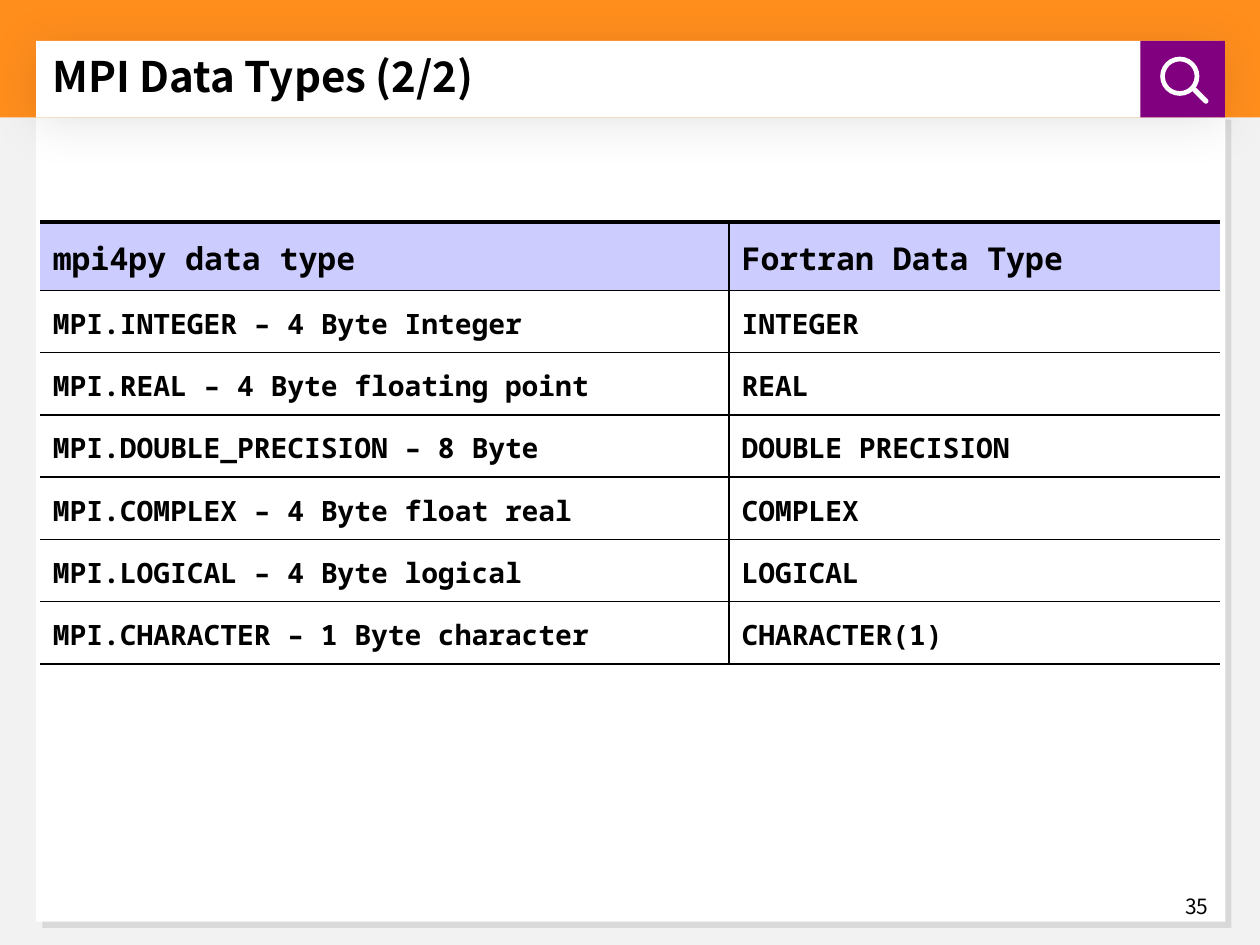
"""Build the MPI data types slide with its Fortran type table."""
import pptx
import pptx.dml.color
import pptx.enum.shapes
import pptx.enum.text
import pptx.oxml
import pptx.oxml.ns
import pptx.util
from lxml import etree

Pt = pptx.util.Pt
RGBColor = pptx.dml.color.RGBColor
SHAPE = pptx.enum.shapes.MSO_SHAPE
ALIGN = pptx.enum.text.PP_ALIGN
MIDDLE = pptx.enum.text.MSO_ANCHOR.MIDDLE
qn = pptx.oxml.ns.qn

BLACK = RGBColor(0x00, 0x00, 0x00)
WHITE = RGBColor(0xFF, 0xFF, 0xFF)
GREY = RGBColor(0xF2, 0xF2, 0xF2)
ORANGE = RGBColor(0xFF, 0x8E, 0x1D)
PURPLE = RGBColor(0x80, 0x00, 0x80)
LAVENDER = RGBColor(0xCC, 0xCC, 0xFF)
SANS = "Noto Sans CJK KR"
MONO = "Noto Sans Mono"


def add_panel(shapes, kind, bounds, color, shadow=None):
    panel = shapes.add_shape(kind, *[Pt(length) for length in bounds])
    panel.fill.solid()
    panel.fill.fore_color.rgb = color
    panel.line.fill.background()
    panel.shadow.inherit = False
    if shadow:
        blur, distance, angle = shadow
        effects = panel.element.spPr.find(qn("a:effectLst"))
        outer = etree.SubElement(effects, qn("a:outerShdw"), blurRad=str(Pt(blur)),
                                 dist=str(Pt(distance)), dir=str(angle * 60000),
                                 algn="tl", rotWithShape="0")
        tint = etree.SubElement(outer, qn("a:srgbClr"), val=str(BLACK))
        etree.SubElement(tint, qn("a:alpha"), val="10000")
    return panel


def style_para(para, size, face, bold):
    for span in para.runs:
        span.font.size = Pt(size)
        span.font.name = face
        span.font.bold = bold
        span.font.color.rgb = BLACK


deck = pptx.Presentation()
deck.slide_width, deck.slide_height = Pt(720), Pt(540)
page = deck.slides.add_slide(deck.slide_layouts[6])

add_panel(page.shapes, SHAPE.RECTANGLE, (0, 49.7, 720, 490.3), GREY)
add_panel(page.shapes, SHAPE.RECTANGLE, (20.7, 64.8, 679.5, 461.9), WHITE, (0, 5, 45))
add_panel(page.shapes, SHAPE.RECTANGLE, (0, 0, 720, 67.1), ORANGE)
add_panel(page.shapes, SHAPE.RECTANGLE, (20.7, 23.3, 677, 43.8), WHITE, (27, 3, 90))

search = page.shapes.add_group_shape()
add_panel(search.shapes, SHAPE.RECTANGLE, (651.6, 23.3, 48.4, 43.8), PURPLE)
lens = add_panel(search.shapes, SHAPE.DONUT, (663, 32.4, 22.4, 22.4), WHITE)
lens.adjustments[0] = 0.12
handle = add_panel(search.shapes, SHAPE.ROUNDED_RECTANGLE, (684.4, 48.4, 2.9, 12.2), WHITE)
handle.adjustments[0] = 0.5
handle.rotation = 315

rows = [
    ("mpi4py data type", "Fortran Data Type"),
    ("MPI.INTEGER – 4 Byte Integer", "INTEGER"),
    ("MPI.REAL – 4 Byte floating point", "REAL"),
    ("MPI.DOUBLE_PRECISION – 8 Byte", "DOUBLE PRECISION"),
    ("MPI.COMPLEX – 4 Byte float real", "COMPLEX"),
    ("MPI.LOGICAL – 4 Byte logical", "LOGICAL"),
    ("MPI.CHARACTER – 1 Byte character", "CHARACTER(1)"),
]
table = page.shapes.add_table(len(rows), 2, Pt(23), Pt(126.8), Pt(674.4), Pt(252.8)).table
table.first_row = False
table.horz_banding = False
table.columns[0].width, table.columns[1].width = Pt(393.6), Pt(280.8)

for row_index, texts in enumerate(rows):
    header = row_index == 0
    table.rows[row_index].height = Pt(39.2 if header else 35.6)
    for column_index, text in enumerate(texts):
        cell = table.cell(row_index, column_index)
        cell.vertical_anchor = MIDDLE
        cell.text_frame.text = text
        para = cell.text_frame.paragraphs[0]
        para.line_spacing = 1.1
        style_para(para, 18 if header else 16, MONO, True)

        edges = {"L": column_index, "R": 1 - column_index, "T": 2.25 if header else 1, "B": 1}
        for side, width in edges.items():
            border = etree.SubElement(cell._tc.get_or_add_tcPr(), qn(f"a:ln{side}"),
                                      w=str(Pt(width)))
            if width:
                paint = etree.SubElement(border, qn("a:solidFill"))
                etree.SubElement(paint, qn("a:srgbClr"), val=str(BLACK))
            else:
                etree.SubElement(border, qn("a:noFill"))

        if header:
            cell.fill.solid()
            cell.fill.fore_color.rgb = LAVENDER
        else:
            cell.fill.background()

labels = [
    ("35", (540.7, 510.5, 157, 15.1), 12, False, ALIGN.RIGHT, 1),
    ("MPI Data Types (2/2)", (23, 25.2, 635.8, 39.6), 24, True, ALIGN.LEFT, 0.9),
]
for text, bounds, size, bold, align, spacing in labels:
    box = page.shapes.add_textbox(*[Pt(length) for length in bounds])
    box.text_frame.word_wrap = True
    box.text_frame.vertical_anchor = MIDDLE
    box.text_frame.text = text
    para = box.text_frame.paragraphs[0]
    para.alignment = align
    para.line_spacing = spacing
    style_para(para, size, SANS, bold)

deck.save("out.pptx")
